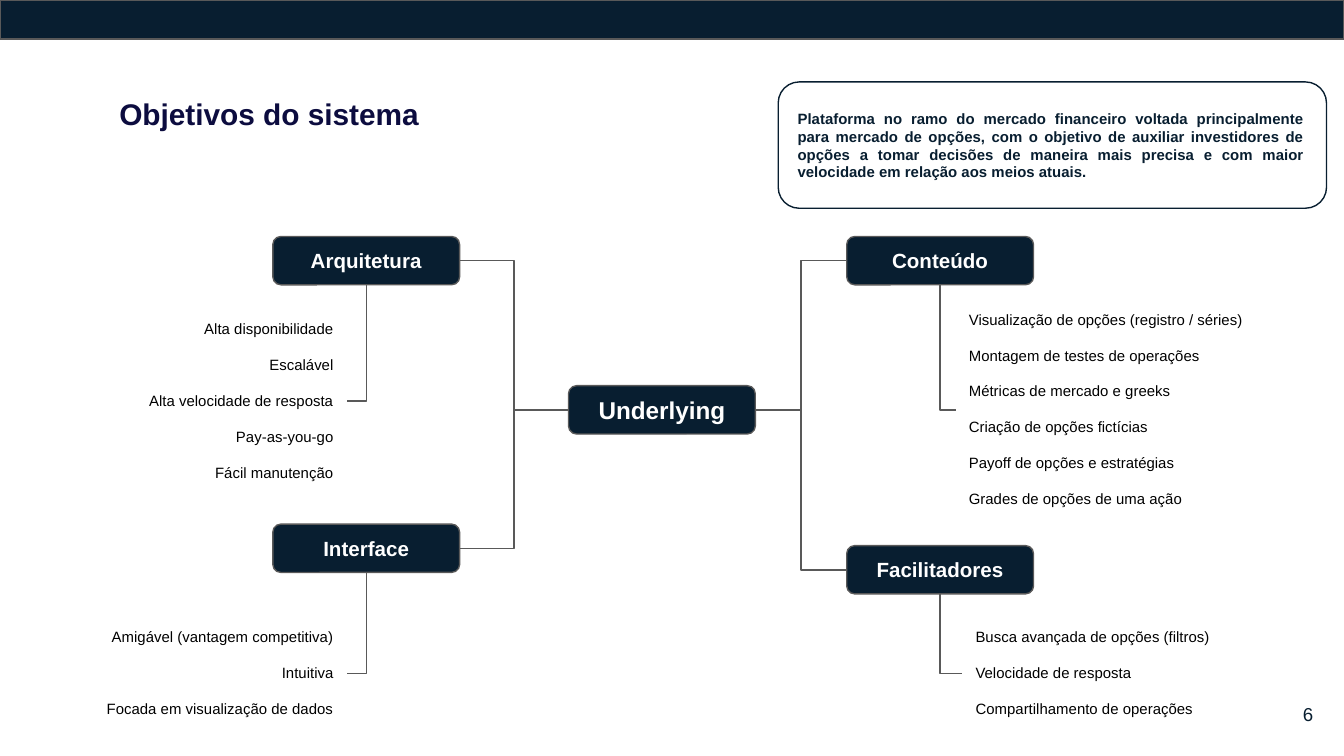
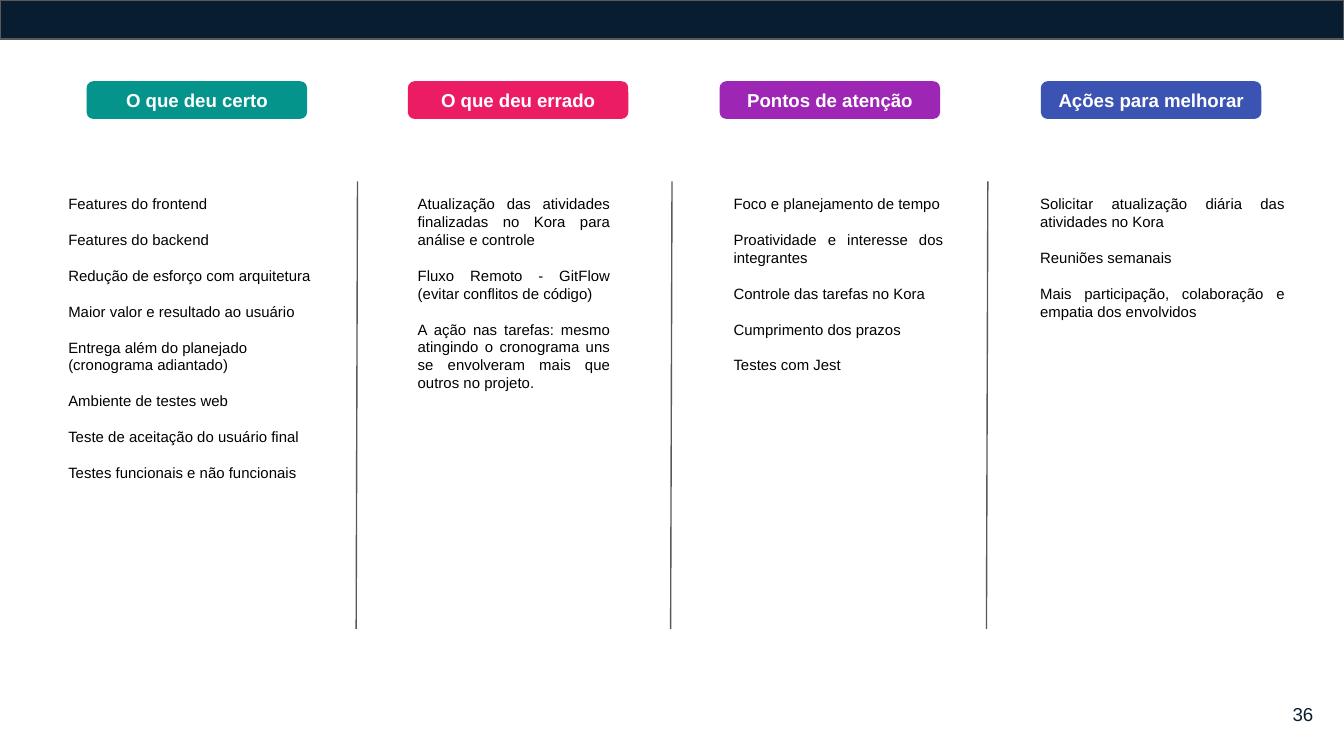
from pptx import Presentation
from pptx.dml.color import RGBColor
from pptx.enum.shapes import MSO_CONNECTOR, MSO_SHAPE
from pptx.enum.text import MSO_ANCHOR, PP_ALIGN
from pptx.oxml.ns import qn
from pptx.util import Inches, Pt
from lxml.etree import SubElement

NAVY = "081E30"
TITLE_BLUE = "0C0C3F"
GRAY = "595959"
WHITE = "FFFFFF"
BLACK = "000000"
FONT = "Arial"
LINE_WIDTH = 0.75
NODE_WIDTH, NODE_HEIGHT = 1.39, 0.36
TOP, LEFT, BOTTOM, RIGHT = range(4)

BRANCHES = [
    {"name": "Arquitetura", "side": LEFT, "node": (2.03, 1.76), "list": (0, 2.28, 2.58, 1.41),
     "items": ["Alta disponibilidade", "Escalável", "Alta velocidade de resposta",
               "Pay-as-you-go", "Fácil manutenção"]},
    {"name": "Interface", "side": LEFT, "node": (2.03, 3.9), "list": (0, 4.57, 2.58, 0.88),
     "items": ["Amigável (vantagem competitiva)", "Intuitiva", "Focada em visualização de dados"]},
    {"name": "Conteúdo", "side": RIGHT, "node": (6.3, 1.76), "list": (7.11, 2.21, 2.58, 1.68),
     "items": ["Visualização de opções (registro / séries)", "Montagem de testes de operações",
               "Métricas de mercado e greeks", "Criação de opções fictícias",
               "Payoff de opções e estratégias", "Grades de opções de uma ação"]},
    {"name": "Facilitadores", "side": RIGHT, "node": (6.3, 4.06), "list": (7.16, 4.57, 2.58, 0.88),
     "items": ["Busca avançada de opções (filtros)", "Velocidade de resposta",
               "Compartilhamento de operações"]},
]

COLUMNS = [
    ("O que deu certo", "04948C", 0.65, (0.41, 1.35, 2.14, 2.36), PP_ALIGN.LEFT,
     ["Features do frontend", "Features do backend", "Redução de esforço com arquitetura",
      "Maior valor e resultado ao usuário", "Entrega além do planejado (cronograma adiantado)",
      "Ambiente de testes web", "Teste de aceitação do usuário final",
      "Testes funcionais e não funcionais"]),
    ("O que deu errado", "EC1C64", 3.04, (3.01, 1.35, 1.63, 1.82), PP_ALIGN.JUSTIFY,
     ["Atualização das atividades finalizadas no Kora para análise e controle",
      "Fluxo Remoto - GitFlow (evitar conflitos de código)",
      "A ação nas tarefas: mesmo atingindo o cronograma uns se envolveram mais que outros "
      "no projeto."]),
    ("Pontos de atenção", "9D26B4", 5.36, (5.36, 1.35, 1.76, 1.55), PP_ALIGN.JUSTIFY,
     ["Foco e planejamento de tempo", "Proatividade e interesse dos integrantes",
      "Controle das tarefas no Kora", "Cumprimento dos prazos", "Testes com Jest"]),
    ("Ações para melhorar", "3B54B3", 7.75, (7.64, 1.35, 2.02, 1.28), PP_ALIGN.JUSTIFY,
     ["Solicitar atualização diária das atividades no Kora", "Reuniões semanais",
      "Mais participação, colaboração e empatia dos envolvidos"]),
]
DIVIDERS = (2.66, 5, 7.35)


def color(hex_string):
    return RGBColor.from_string(hex_string)


def write(shape, texts, size, text_color, bold=False, align=PP_ALIGN.LEFT,
          anchor=MSO_ANCHOR.TOP, gap=0):
    frame = shape.text_frame
    frame.word_wrap = True
    frame.vertical_anchor = anchor
    frame.margin_left = frame.margin_right = Inches(0.1)
    frame.margin_top = frame.margin_bottom = Inches(0.1)
    for index, text in enumerate(texts):
        paragraph = frame.add_paragraph() if index else frame.paragraphs[0]
        paragraph.text = text
        paragraph.alignment = align
        paragraph.space_before = Pt(gap if index else 0)
        paragraph.font.name = FONT
        paragraph.font.size = Pt(size)
        paragraph.font.bold = bold
        paragraph.font.color.rgb = color(text_color)


def add_text(slide, box, texts, size, text_color, **style):
    shape = slide.shapes.add_textbox(*map(Inches, box))
    write(shape, texts, size, text_color, **style)
    return shape


def add_list(slide, box, items, align):
    return add_text(slide, box, items, 8, BLACK, align=align, gap=9.6)


def add_box(slide, box, fill, line, kind=MSO_SHAPE.ROUNDED_RECTANGLE):
    shape = slide.shapes.add_shape(kind, *map(Inches, box))
    shape.shadow.inherit = False
    if fill:
        shape.fill.solid()
        shape.fill.fore_color.rgb = color(fill)
    else:
        shape.fill.background()
    shape.line.color.rgb = color(line)
    shape.line.width = Pt(LINE_WIDTH)
    return shape


def add_label(slide, box, text, size, fill=NAVY, line=GRAY):
    shape = add_box(slide, box, fill, line)
    write(shape, [text], size, WHITE, bold=True, align=PP_ALIGN.CENTER, anchor=MSO_ANCHOR.MIDDLE)
    return shape


def add_line(slide, kind, start, end):
    connector = slide.shapes.add_connector(kind, *start, *end)
    connector.line.color.rgb = color(GRAY)
    connector.line.width = Pt(LINE_WIDTH)
    SubElement(connector._element.spPr, qn("a:effectLst"))
    return connector


def join_nodes(slide, root, node, side):
    connector = add_line(slide, MSO_CONNECTOR.ELBOW, (0, 0), (0, 0))
    connector.begin_connect(root, side)
    connector.end_connect(node, LEFT if side == RIGHT else RIGHT)


def add_corner(slide, node, item_list, side):
    start_x = node.left + node.width // 2
    start_y = node.top + node.height
    end_x = item_list.left if side == RIGHT else item_list.left + item_list.width
    end_y = item_list.top + item_list.height // 2
    connector = add_line(slide, MSO_CONNECTOR.ELBOW, (start_x, start_y), (end_x, end_y))
    across, down = abs(end_x - start_x), end_y - start_y
    connector.left = (start_x + end_x - down) // 2
    connector.top = (start_y + end_y - across) // 2
    connector.width, connector.height = down, across
    properties = connector._element.spPr
    properties.find(qn("a:prstGeom")).set("prst", "bentConnector2")
    transform = properties.find(qn("a:xfrm"))
    transform.set("rot", str((270 if side == RIGHT else 90) * 60000))
    transform.set("flipH", "1" if side == RIGHT else "0")


def add_slide(presentation, number):
    slide = presentation.slides.add_slide(presentation.slide_layouts[6])
    add_box(slide, (0, 0, 10, 0.29), NAVY, GRAY, MSO_SHAPE.RECTANGLE)
    add_text(slide, (9.27, 5.1, 0.6, 0.43), [str(number)], 10, NAVY,
             align=PP_ALIGN.RIGHT, anchor=MSO_ANCHOR.MIDDLE)
    return slide


def build_objectives(presentation):
    slide = add_slide(presentation, 6)
    add_text(slide, (0.79, 0.61, 3.46, 0.47), ["Objetivos do sistema"], 16, TITLE_BLUE, bold=True)
    summary = add_box(slide, (5.79, 0.61, 4.08, 0.94), None, NAVY)
    write(summary, ["Plataforma no ramo do mercado financeiro voltada principalmente para mercado "
                    "de opções, com o objetivo de auxiliar investidores de opções a tomar decisões "
                    "de maneira mais precisa e com maior velocidade em relação aos meios atuais."],
          8, NAVY, bold=True, align=PP_ALIGN.JUSTIFY, anchor=MSO_ANCHOR.MIDDLE)
    summary.text_frame.margin_right = Inches(0.12)
    root = add_label(slide, (4.23, 2.87, NODE_WIDTH, NODE_HEIGHT), "Underlying", 13)
    for branch in BRANCHES:
        side = branch["side"]
        node = add_label(slide, (*branch["node"], NODE_WIDTH, NODE_HEIGHT), branch["name"], 11)
        align = PP_ALIGN.LEFT if side == RIGHT else PP_ALIGN.RIGHT
        item_list = add_list(slide, branch["list"], branch["items"], align)
        add_corner(slide, node, item_list, side)
        join_nodes(slide, root, node, side)


def build_retrospective(presentation):
    slide = add_slide(presentation, 36)
    for heading, fill, left, box, align, items in COLUMNS:
        add_label(slide, (left, 0.61, 1.63, 0.27), heading, 10, fill, fill)
        add_list(slide, box, items, align)
    for x in DIVIDERS:
        add_line(slide, MSO_CONNECTOR.STRAIGHT, (Inches(x), Inches(1.35)),
                 (Inches(x - 0.01), Inches(4.68)))


def main():
    presentation = Presentation()
    presentation.slide_width = Inches(10)
    presentation.slide_height = presentation.slide_width * 9 // 16
    build_objectives(presentation)
    build_retrospective(presentation)
    presentation.save("out.pptx")


if __name__ == "__main__":
    main()
